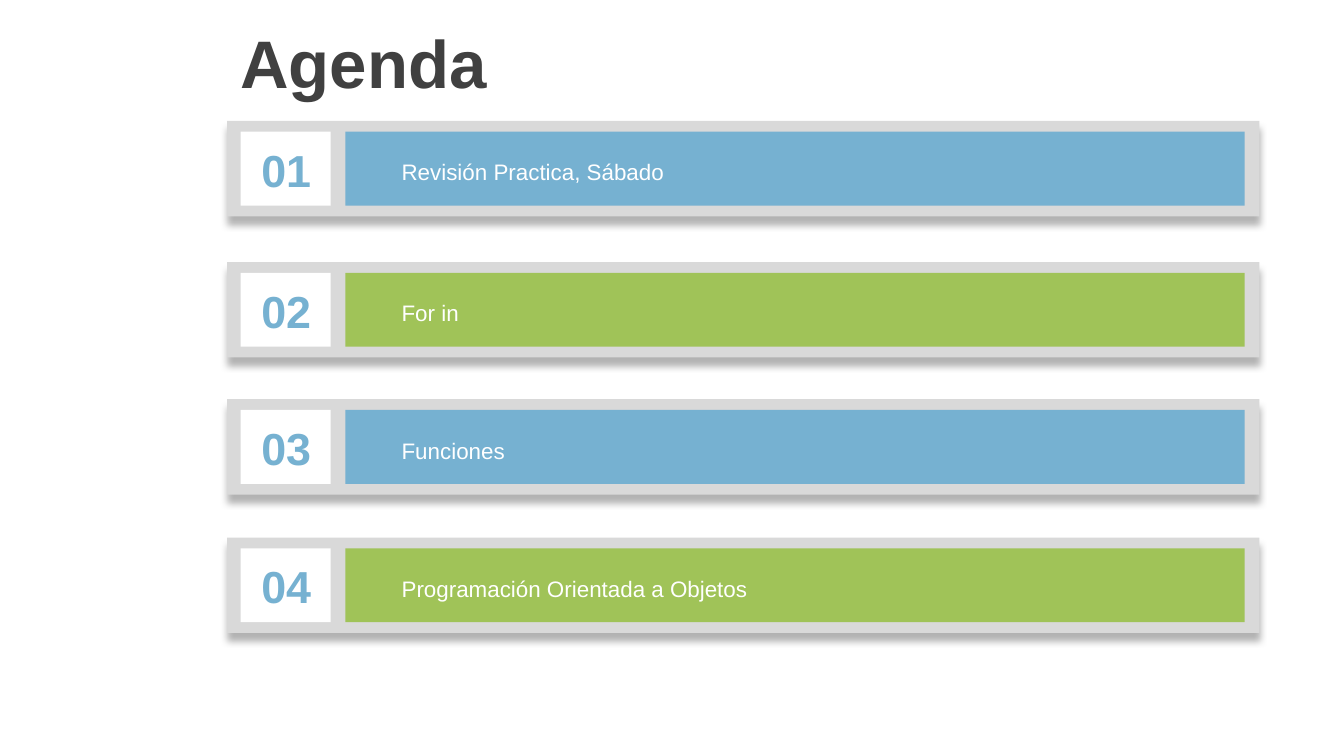
from pptx import Presentation
from pptx.dml.color import RGBColor
from pptx.enum.shapes import MSO_SHAPE as Preset
from pptx.enum.text import MSO_ANCHOR as Anchor, MSO_AUTO_SIZE as AutoSize, PP_ALIGN as Align
from pptx.oxml import parse_xml
from pptx.oxml.ns import nsdecls, qn
from pptx.util import Inches, Pt

COLORS = {
    "title": "404040",
    "frame": "D9D9D9",
    "blue": "76B1D1",
    "green": "A0C358",
    "white": "FFFFFF",
    "shadow": "000000",
}

ITEMS = [
    (0.9, "blue", "Revisión Practica, Sábado"),
    (1.95, "green", "For in"),
    (2.97, "blue", "Funciones"),
    (4.0, "green", "Programación Orientada a Objetos"),
]


class AgendaSlide:
    font_name = "Arial"

    def __init__(self, presentation):
        self.slide = presentation.slides.add_slide(presentation.slide_layouts[6])

    def color(self, name):
        return RGBColor.from_string(COLORS[name])

    def box(self, left, top, width, height, fill):
        shape = self.slide.shapes.add_shape(
            Preset.RECTANGLE, Inches(left), Inches(top), Inches(width), Inches(height)
        )
        shape.shadow.inherit = False
        shape.fill.solid()
        shape.fill.fore_color.rgb = self.color(fill)
        shape.line.fill.background()
        return shape

    def frame(self, left, top, width, height):
        shape = self.box(left, top, width, height, "frame")
        effects = shape.element.spPr.find(qn("a:effectLst"))
        effects.append(parse_xml(
            f'<a:outerShdw {nsdecls("a")} blurRad="{Pt(4)}" dist="{Pt(4)}" '
            f'dir="5400000" algn="t" rotWithShape="0">'
            f'<a:srgbClr val="{COLORS["shadow"]}"><a:alpha val="30000"/></a:srgbClr>'
            f'</a:outerShdw>'
        ))

    def text(self, left, top, width, height, words, size, color,
             bold=False, align=Align.LEFT, anchor=Anchor.TOP, fit=AutoSize.NONE):
        shape = self.slide.shapes.add_textbox(
            Inches(left), Inches(top), Inches(width), Inches(height)
        )
        frame = shape.text_frame
        frame_format = {"word_wrap": True, "vertical_anchor": anchor, "auto_size": fit}
        for name, value in frame_format.items():
            setattr(frame, name, value)
        paragraph = frame.paragraphs[0]
        paragraph.alignment = align
        run = paragraph.add_run()
        run.text = words
        font_format = {"name": self.font_name, "size": Pt(size), "bold": bold}
        for name, value in font_format.items():
            setattr(run.font, name, value)
        run.font.color.rgb = self.color(color)

    def item(self, number, top, fill, words):
        self.frame(1.69, top, 7.68, 0.71)
        self.box(2.57, top + 0.08, 6.69, 0.55, fill)
        self.box(1.79, top + 0.08, 0.67, 0.55, "white")
        self.text(1.8, top + 0.11, 0.66, 0.5, f"{number:02d}", 24, "blue", bold=True,
                  align=Align.CENTER, anchor=Anchor.MIDDLE, fit=AutoSize.SHAPE_TO_FIT_TEXT)
        self.text(2.89, top + 0.23, 5.26, 0.3, words, 12, "white",
                  fit=AutoSize.SHAPE_TO_FIT_TEXT)


def main():
    presentation = Presentation()
    presentation.slide_width = Inches(10)
    presentation.slide_height = Inches(10 * 9 / 16)
    agenda = AgendaSlide(presentation)
    agenda.text(1.69, 0.03, 8.31, 0.85, "Agenda", 36, "title", bold=True, anchor=Anchor.MIDDLE)
    for number, (top, fill, words) in enumerate(ITEMS, start=1):
        agenda.item(number, top, fill, words)
    presentation.save("out.pptx")


if __name__ == "__main__":
    main()
